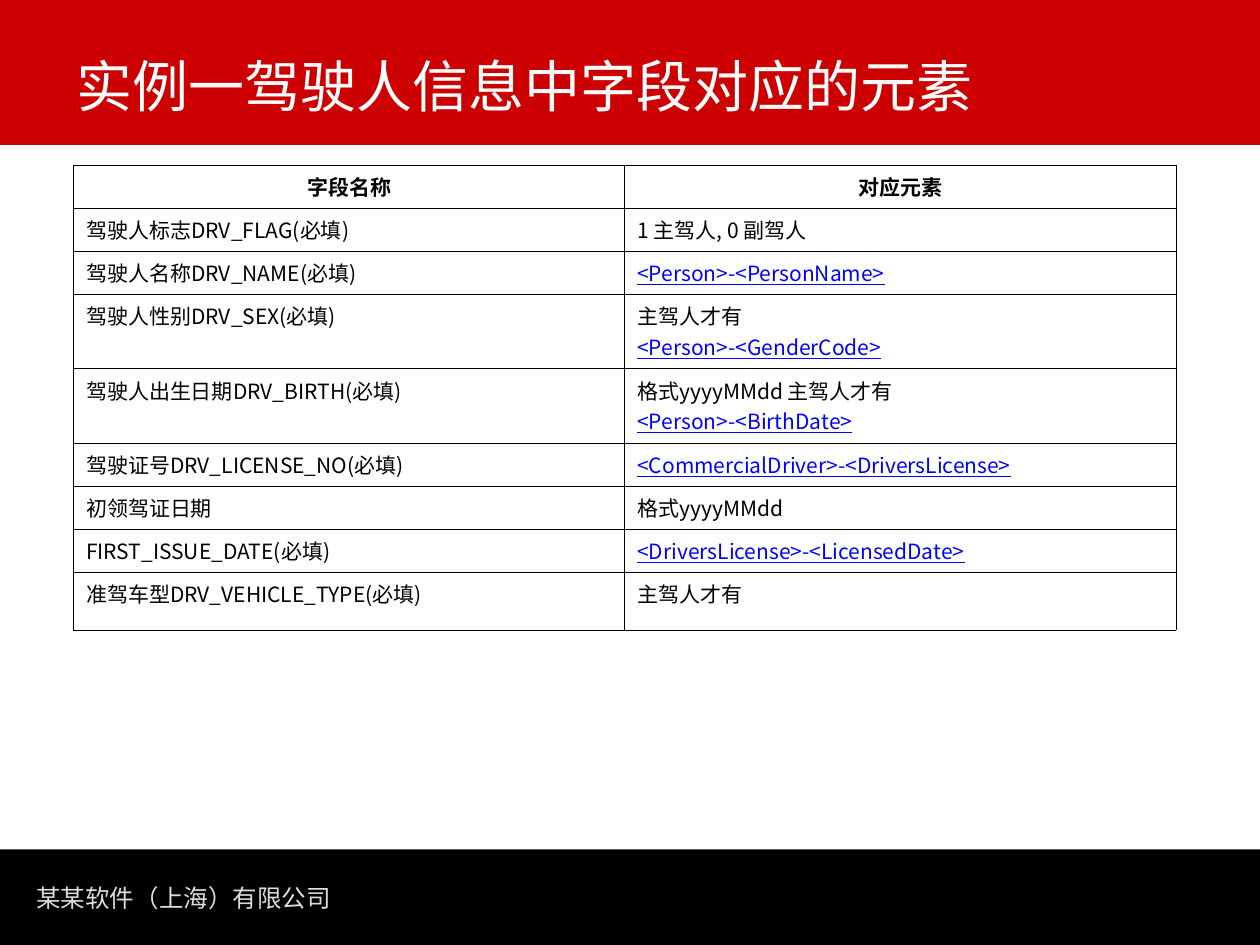
"""Build the slide that maps driver-information fields to their elements."""
from dataclasses import dataclass

from lxml import etree
from pptx import Presentation
from pptx.dml.color import RGBColor
from pptx.enum import shapes, text
from pptx.oxml import ns
from pptx.util import Pt

COLOURS = {
    "header": "CC0000",
    "footer": "000000",
    "title": "FFFFFF",
    "company": "DDDDDD",
    "cell": "FFFFFF",
    "body": "000000",
    "link": "0000FF",
    "border": "000000",
}
LABEL_FONT = "DejaVu Sans"
TABLE_FONT = "Noto Sans CJK SC"
SLIDE_WIDTH, SLIDE_HEIGHT = 720, 540
TABLE_LEFT, TABLE_TOP, COLUMN_WIDTH = 42, 94.4, 315
ONE_LINE, TWO_LINES, LAST_ROW = 24.55, 42.6, 33.1


@dataclass(frozen=True)
class Band:
    top: float
    height: float
    colour: str


@dataclass(frozen=True)
class Label:
    content: str
    left: float
    top: float
    width: float
    height: float
    size: float
    colour: str
    anchor: text.MSO_ANCHOR
    wrap: bool


@dataclass(frozen=True)
class FieldRow:
    field: str
    note: str = ""
    element: str = ""
    height: float = ONE_LINE


BANDS = [Band(485.4, 54.6, "footer"), Band(0, 82.8, "header")]
LABELS = [
    Label("某某软件（上海）有限公司", 13.7, 501, 183, 24.5, 14, "company",
          text.MSO_ANCHOR.TOP, False),
    Label("实例一驾驶人信息中字段对应的元素", 36.7, 3.6, 663, 67.7, 32, "title",
          text.MSO_ANCHOR.BOTTOM, True),
]
HEADINGS = ["字段名称", "对应元素"]
ROWS = [
    FieldRow("驾驶人标志DRV_FLAG(必填)", note="1 主驾人, 0 副驾人"),
    FieldRow("驾驶人名称DRV_NAME(必填)", element="<Person>-<PersonName>"),
    FieldRow("驾驶人性别DRV_SEX(必填)", "主驾人才有", "<Person>-<GenderCode>", TWO_LINES),
    FieldRow("驾驶人出生日期DRV_BIRTH(必填)", "格式yyyyMMdd 主驾人才有",
             "<Person>-<BirthDate>", TWO_LINES),
    FieldRow("驾驶证号DRV_LICENSE_NO(必填)", element="<CommercialDriver>-<DriversLicense>"),
    FieldRow("初领驾证日期", note="格式yyyyMMdd"),
    FieldRow("FIRST_ISSUE_DATE(必填)", element="<DriversLicense>-<LicensedDate>"),
    FieldRow("准驾车型DRV_VEHICLE_TYPE(必填)", note="主驾人才有", height=LAST_ROW),
]


def colour_of(name: str) -> RGBColor:
    """Look up a named colour."""
    return RGBColor.from_string(COLOURS[name])


def style_paragraph(paragraph, font_name: str, size: float, colour: str) -> None:
    """Set the Latin and East Asian fonts, size and colour of a paragraph."""
    font = paragraph.font
    font.name, font.size = font_name, Pt(size)
    font.color.rgb = colour_of(colour)
    properties = paragraph._p.get_or_add_pPr().find(ns.qn("a:defRPr"))
    etree.SubElement(properties, ns.qn("a:ea"), typeface=TABLE_FONT)


def draw_band(slide, band: Band) -> None:
    """Draw a full-width coloured band."""
    shape = slide.shapes.add_shape(shapes.MSO_SHAPE.RECTANGLE, 0, Pt(band.top),
                                   Pt(SLIDE_WIDTH), Pt(band.height))
    shape.shadow.inherit = False
    shape.fill.solid()
    shape.fill.fore_color.rgb = colour_of(band.colour)
    shape.line.fill.background()


def draw_label(slide, label: Label) -> None:
    """Draw one line of text on a band."""
    shape = slide.shapes.add_textbox(Pt(label.left), Pt(label.top),
                                     Pt(label.width), Pt(label.height))
    frame = shape.text_frame
    frame.word_wrap, frame.vertical_anchor = label.wrap, label.anchor
    paragraph = frame.paragraphs[0]
    paragraph.text = label.content
    style_paragraph(paragraph, LABEL_FONT, label.size, label.colour)


def add_borders(cell) -> None:
    """Put a thin line on all four sides of a cell."""
    properties = cell._tc.get_or_add_tcPr()
    for position, side in enumerate(("lnL", "lnR", "lnT", "lnB")):
        line = etree.Element(ns.qn(f"a:{side}"), w=str(Pt(0.45)))
        fill = etree.SubElement(line, ns.qn("a:solidFill"))
        etree.SubElement(fill, ns.qn("a:srgbClr"), val=COLOURS["border"])
        properties.insert(position, line)


def fill_cell(cell, note: str, element: str = "", heading: bool = False) -> None:
    """Write a plain line, an underlined element line, or both into a cell."""
    cell.fill.solid()
    cell.fill.fore_color.rgb = colour_of("cell")
    add_borders(cell)
    lines = [(line, colour) for line, colour in ((note, "body"), (element, "link")) if line]
    cell.text_frame.text = "\n".join(line for line, _ in lines)
    for paragraph, (_, colour) in zip(cell.text_frame.paragraphs, lines):
        paragraph.alignment = text.PP_ALIGN.CENTER if heading else text.PP_ALIGN.JUSTIFY
        style_paragraph(paragraph, TABLE_FONT, 12, colour)
        paragraph.font.bold = heading
        paragraph.font.underline = colour == "link"


def draw_table(slide, rows: list[FieldRow]) -> None:
    """Draw the heading row and one row per field."""
    heights = [ONE_LINE] + [row.height for row in rows]
    table = slide.shapes.add_table(len(heights), len(HEADINGS), Pt(TABLE_LEFT), Pt(TABLE_TOP),
                                   Pt(COLUMN_WIDTH * len(HEADINGS)), Pt(sum(heights))).table
    table.horz_banding = False
    for column in table.columns:
        column.width = Pt(COLUMN_WIDTH)
    for table_row, height in zip(table.rows, heights):
        table_row.height = Pt(height)
    for column, heading in enumerate(HEADINGS):
        fill_cell(table.cell(0, column), heading, heading=True)
    for index, row in enumerate(rows, start=1):
        fill_cell(table.cell(index, 0), row.field)
        fill_cell(table.cell(index, 1), row.note, row.element)


def main() -> None:
    """Assemble and save the presentation."""
    presentation = Presentation()
    presentation.slide_width, presentation.slide_height = Pt(SLIDE_WIDTH), Pt(SLIDE_HEIGHT)
    slide = presentation.slides.add_slide(presentation.slide_layouts[6])
    for band in BANDS:
        draw_band(slide, band)
    for label in LABELS:
        draw_label(slide, label)
    draw_table(slide, ROWS)
    presentation.save("out.pptx")


if __name__ == "__main__":
    main()
